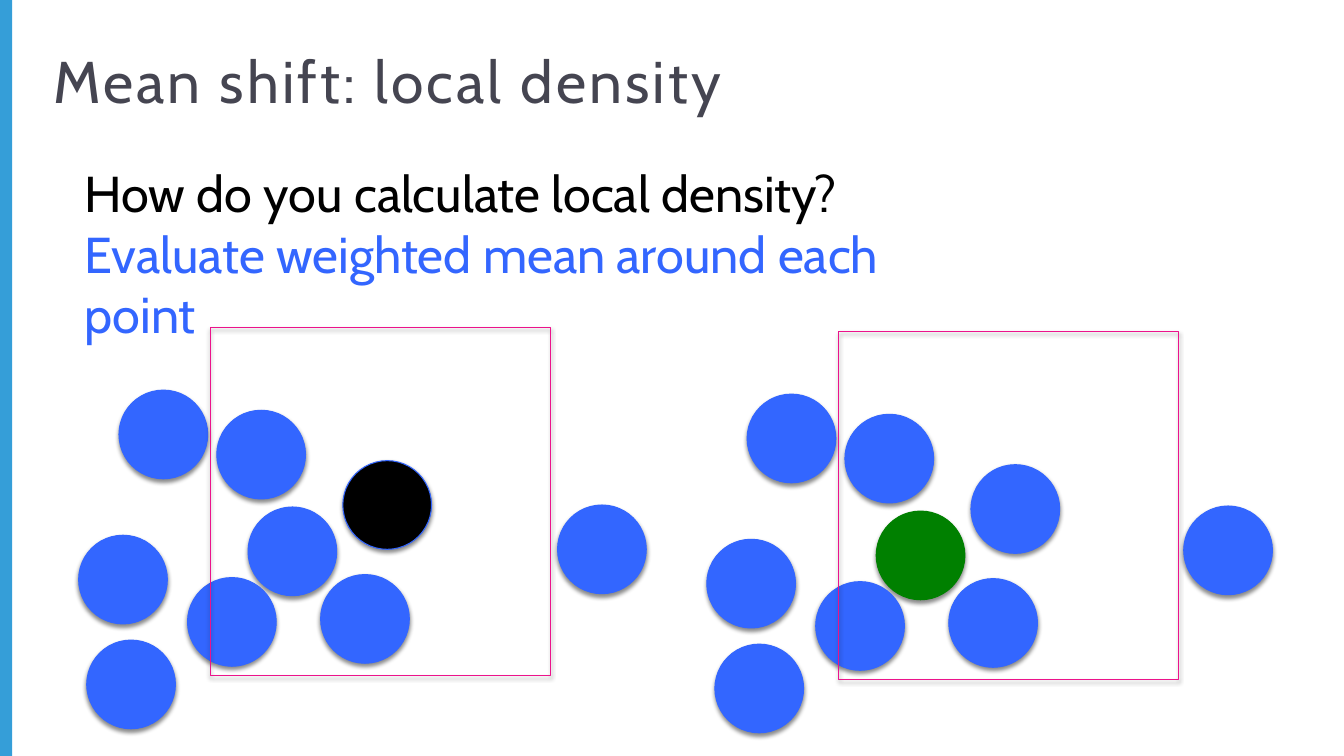
import pptx
import pptx.dml.color
import pptx.enum.shapes
import pptx.enum.text
import pptx.oxml
import pptx.oxml.ns
import pptx.util

Inches = pptx.util.Inches
RECTANGLE = pptx.enum.shapes.MSO_SHAPE.RECTANGLE
OVAL = pptx.enum.shapes.MSO_SHAPE.OVAL
BLUE, BLACK, GREEN, PINK = "3366FF", "000000", "008000", "EC138B"
SHADOW = (
    f'<a:effectLst {pptx.oxml.ns.nsdecls("a")}>'
    '<a:outerShdw blurRad="38100" dist="25400" dir="5400000" rotWithShape="0">'
    '<a:srgbClr val="000000"><a:alpha val="45000"/></a:srgbClr>'
    '</a:outerShdw></a:effectLst>'
)

presentation = pptx.Presentation()
presentation.slide_width = Inches(13.33)
presentation.slide_height = Inches(7.5)
slide = presentation.slides.add_slide(presentation.slide_layouts[6])


def add_text(lines, left, top, width, height, size, spacing=0, inset_top=0.05):
    box = slide.shapes.add_textbox(Inches(left), Inches(top), Inches(width), Inches(height))
    frame = box.text_frame
    frame.word_wrap = True
    frame.margin_top = Inches(inset_top)
    frame.vertical_anchor = pptx.enum.text.MSO_ANCHOR.TOP
    for index, (text, color) in enumerate(lines):
        paragraph = frame.paragraphs[0] if index == 0 else frame.add_paragraph()
        run = paragraph.add_run()
        run.text = text
        run.font.name = "Cabin"
        run.font.size = pptx.util.Pt(size)
        run.font.color.rgb = pptx.dml.color.RGBColor.from_string(color)
        if spacing:
            run.font._element.set("spc", str(round(spacing * 100)))


def add_outline(shapes, kind, left, top, width, height, fill=None, line=None):
    shape = shapes.add_shape(kind, Inches(left), Inches(top), Inches(width), Inches(height))
    shape.shadow.inherit = False
    if fill:
        shape.fill.solid()
        shape.fill.fore_color.rgb = pptx.dml.color.RGBColor.from_string(fill)
    else:
        shape.fill.background()
    if line:
        shape.line.color.rgb = pptx.dml.color.RGBColor.from_string(line)
        shape.line.width = pptx.util.Pt(0.75)
        properties = shape._element.spPr
        properties.replace(properties.find(pptx.oxml.ns.qn("a:effectLst")), pptx.oxml.parse_xml(SHADOW))
    else:
        shape.line.fill.background()


add_outline(slide.shapes, RECTANGLE, 0, 0, 0.12, 7.5, fill="359ED8")
add_text([("Mean shift: local density", "454551")], 0.43, 0.37, 12.65, 1.08, 42, spacing=2.2, inset_top=0.07)
add_text(
    [("How do you calculate local density?", BLACK), ("Evaluate weighted mean around each point", BLUE)],
    0.74, 1.56, 8.96, 1.31, 36,
)

diameter = 0.88
outlier = (5.53, 5.01)
center_point = (2.46, 5.03)
right_point = (3.4, 4.57)
points = [
    (0.78, 5.31), outlier, center_point, (1.86, 5.73), (2.15, 4.07),
    right_point, (0.86, 6.35), (3.18, 5.7), (1.18, 3.87),
]
panels = [
    (0, 0, right_point, BLACK, BLUE),
    (6.23, 0.04, center_point, GREEN, GREEN),
]
for shift_x, shift_y, evaluated_point, fill, line in panels:
    group = slide.shapes.add_group_shape()
    for point in points:
        left, top = point[0] + shift_x, point[1] + shift_y
        if point == outlier and shift_x:
            left, top = 11.74, 5.02
        colors = (fill, line) if point == evaluated_point else (BLUE, BLUE)
        add_outline(group.shapes, OVAL, left, top, diameter, diameter, *colors)
    add_outline(group.shapes, RECTANGLE, 2.09 + shift_x, 3.25 + shift_y, 3.37, 3.45, line=PINK)

presentation.save("out.pptx")
